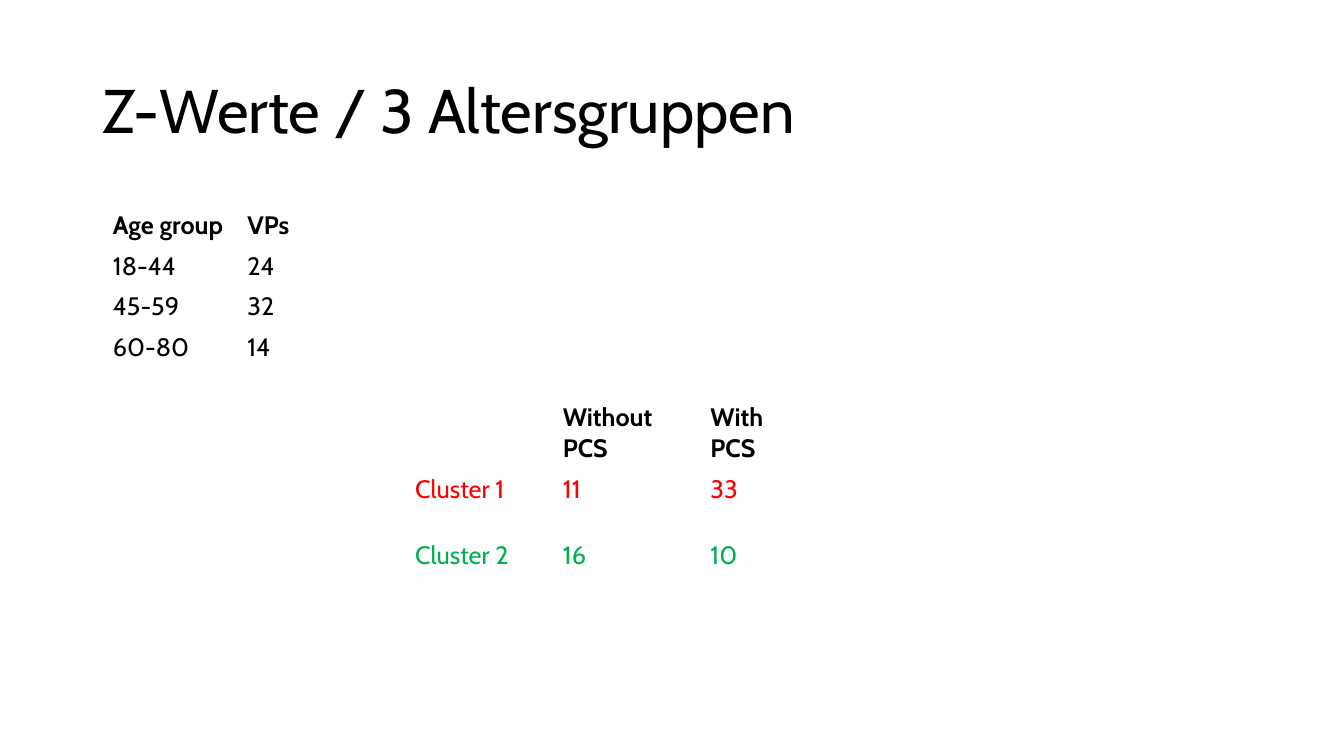
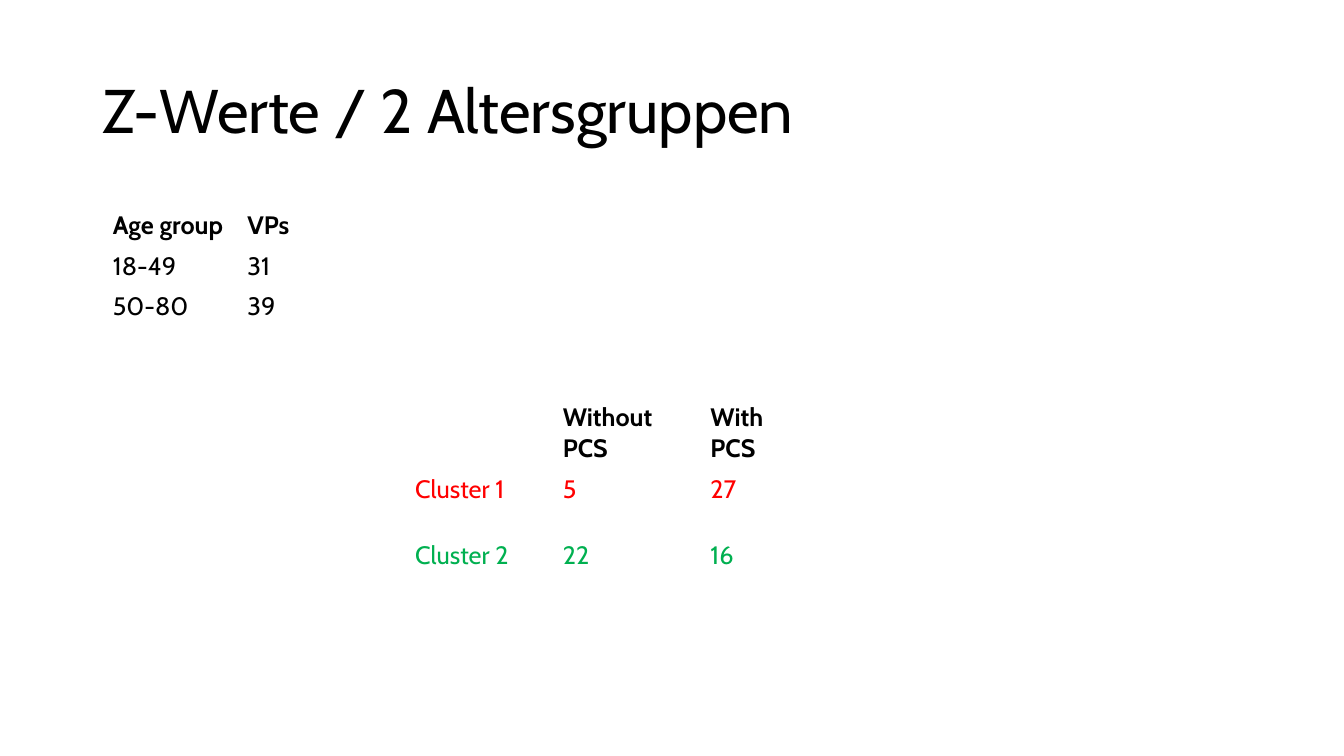
from lxml import etree
from pptx import Presentation
from pptx.dml.color import RGBColor
from pptx.enum import text as t
from pptx.oxml import ns
from pptx.util import Cm, Pt

FONT = "Cabin"
BLACK = RGBColor(0, 0, 0)
WHITE = RGBColor(255, 255, 255)
RED = RGBColor(255, 0, 0)
GREEN = RGBColor(0, 0xB0, 0x50)

# Content: title, age groups, cluster counts
AGES = ("Age group", "VPs")
HEADS = ("", "Without\nPCS", "With\nPCS")
SLIDES = [
    ("Z-Werte / 3 Altersgruppen",
     [("18-44", "24"), ("45-59", "32"), ("60-80", "14")],
     [("Cluster 1", "11", "33"), ("Cluster 2", "16", "10")]),
    ("Z-Werte / 2 Altersgruppen",
     [("18-49", "31"), ("50-80", "39")],
     [("Cluster 1", "5", "27"), ("Cluster 2", "22", "16")]),
]

# Layout in cm: left, top, column widths, row height, colours of body rows
AGE_BOX = (2.59, 5.16, (3.39, 1.66), 1.03, (BLACK, BLACK, BLACK))
CLUSTER_BOX = (10.21, 10.01, (3.72, 3.72, 3.72), 1.66, (RED, GREEN))


def write(frame, words, size=18, color=BLACK, bold=False, space=None):
    para = frame.paragraphs[0]
    para.text = words
    para.alignment = t.PP_ALIGN.LEFT
    para.line_spacing = space
    for run in para.runs:
        font = run.font
        font.name, font.size, font.bold = FONT, Pt(size), bold
        font.color.rgb = color


def border(cell, head):
    props = cell._tc.get_or_add_tcPr()
    for side in "LRTB":
        width = Pt(3 if head and side == "B" else 1)
        line = etree.SubElement(props, ns.qn(f"a:ln{side}"), w=str(width))
        fill = etree.SubElement(line, ns.qn("a:solidFill"))
        etree.SubElement(fill, ns.qn("a:srgbClr"), val=str(WHITE))


def grid(slide, rows, box):
    left, top, widths, height, colors = box
    table = slide.shapes.add_table(
        len(rows), len(widths), Cm(left), Cm(top),
        Cm(sum(widths)), Cm(height * len(rows))).table
    for col, width in zip(table.columns, widths):
        col.width = Cm(width)
    for r, row in enumerate(rows):
        table.rows[r].height = Cm(height)
        head = r == 0
        for c, words in enumerate(row):
            cell = table.cell(r, c)
            border(cell, head)
            cell.fill.solid()
            cell.fill.fore_color.rgb = WHITE
            write(cell.text_frame, words, bold=head,
                  color=BLACK if head else colors[r - 1])


def main():
    deck = Presentation()
    deck.slide_width, deck.slide_height = Cm(33.87), Cm(19.05)

    # Shared title place
    layout = deck.slide_layouts[5]
    base = layout.placeholders[0]
    base.left, base.top = Cm(2.33), Cm(1.02)
    base.width, base.height = Cm(29.21), Cm(3.68)
    base.text_frame.vertical_anchor = t.MSO_ANCHOR.MIDDLE

    for title, ages, clusters in SLIDES:
        slide = deck.slides.add_slide(layout)
        write(slide.shapes.title.text_frame, title, size=44, space=0.9)
        grid(slide, [HEADS, *clusters], CLUSTER_BOX)
        grid(slide, [AGES, *ages], AGE_BOX)
    deck.save("out.pptx")


if __name__ == "__main__":
    main()
